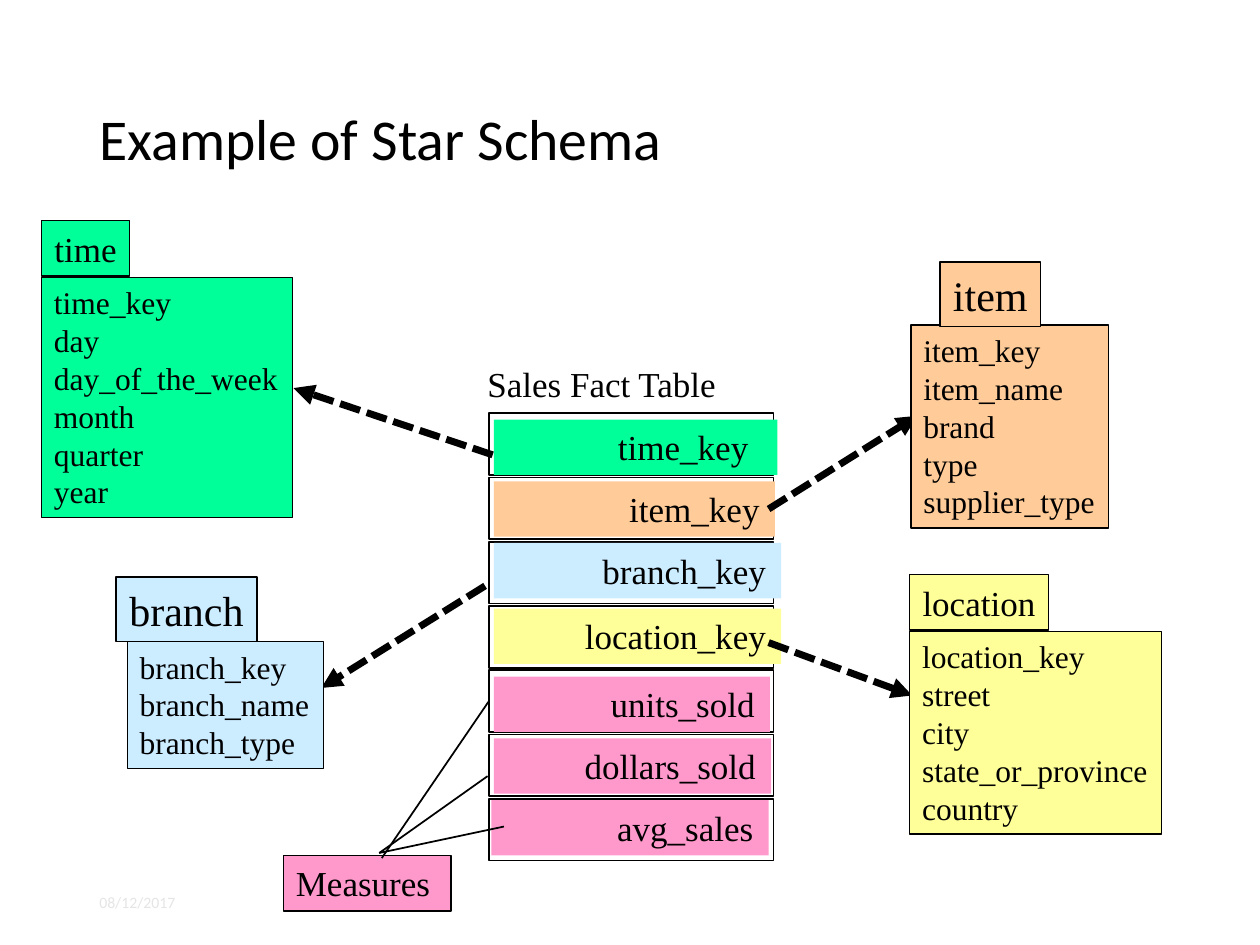
from dataclasses import dataclass

from lxml import etree
from pptx import Presentation
from pptx.dml.color import RGBColor
from pptx.enum.dml import MSO_LINE
from pptx.enum.shapes import MSO_CONNECTOR, MSO_SHAPE
from pptx.enum.text import MSO_ANCHOR, PP_ALIGN
from pptx.oxml.ns import qn
from pptx.util import Inches, Pt

RECT = MSO_SHAPE.RECTANGLE
STRAIGHT = MSO_CONNECTOR.STRAIGHT
DOTTED = MSO_LINE.SQUARE_DOT
LEFT, CENTER, RIGHT = PP_ALIGN.LEFT, PP_ALIGN.CENTER, PP_ALIGN.RIGHT
TOP, MIDDLE = MSO_ANCHOR.TOP, MSO_ANCHOR.MIDDLE
LEFT_SITE = 1


@dataclass(frozen=True)
class Theme:
    """Colours, fonts and type sizes of the slide."""
    ink: str = "000000"
    faint: str = "E5E5E5"
    time: str = "00FF99"
    item: str = "FFCC99"
    branch: str = "CCECFF"
    location: str = "FFFF99"
    measure: str = "FF99CC"
    heading_font: str = "Calibri"
    body_font: str = "Times New Roman"
    title: int = 33
    large: int = 24
    label: int = 20
    field: int = 18
    date: int = 9


THEME = Theme()

DIMENSIONS = [
    (THEME.time, (0.33, 2.2, 1.99, 1.91), (0.33, 1.75, 0.7, 0.44), "time", THEME.label,
     ["time_key", "day", "day_of_the_week", "month", "quarter", "year"]),
    (THEME.location, (7.22, 5.01, 2, 1.61), (7.22, 4.56, 1.1, 0.44), "location", THEME.label,
     ["location_key", "street", "city", "state_or_province", "country"]),
    (THEME.item, (7.23, 2.58, 1.57, 1.61), (7.46, 2.08, 0.8, 0.51), "item", THEME.large,
     ["item_key", "item_name", "brand", "type", "supplier_type"]),
    (THEME.branch, (1.01, 5.09, 1.56, 1.01), (0.92, 4.58, 1.12, 0.51), "branch", THEME.large,
     ["branch_key", "branch_name", "branch_type"]),
]

FACT_LEFT, FACT_TOP, FACT_WIDTH = 3.88, 3.28, 2.26
ROW_HEIGHT, ROW_PITCH = 0.49, 0.51
FACT_ROWS = [
    ("time_key", THEME.time, 3.92, 3.33, 2.25, 0.23),
    ("item_key", THEME.item, 3.92, 3.82, 2.23, 0.12),
    ("branch_key", THEME.branch, 3.92, 4.31, 2.28, 0.12),
    ("location_key", THEME.location, 3.92, 4.83, 2.28, 0.12),
    ("units_sold", THEME.measure, 3.92, 5.37, 2.19, 0.12),
    ("dollars_sold", THEME.measure, 3.92, 5.86, 2.2, 0.12),
    ("avg_sales", THEME.measure, 3.9, 6.35, 2.2, 0.12),
]

ARROWS = [
    (3.85, 4.65, 2.55, 5.46),
    (3.91, 3.61, 2.33, 3.08),
    (6.1, 5.1, 7.24, 5.52),
    (6.1, 4.04, 7.28, 3.3),
]


def write(sp, lines, size, font=THEME.body_font, color=THEME.ink, align=LEFT,
          anchor=TOP, wrap=False, right=0.1):
    """Fill a shape with one paragraph per line and return its text frame."""
    tf = sp.text_frame
    tf.word_wrap = wrap
    tf.vertical_anchor = anchor
    tf.margin_left, tf.margin_right = Inches(0.1), Inches(right)
    tf.margin_top = tf.margin_bottom = Inches(0.05)
    tf.text = "\n".join(lines)
    for p in tf.paragraphs:
        p.alignment = align
        for r in p.runs:
            r.font.name = font
            r.font.size = Pt(size)
            r.font.color.rgb = RGBColor.from_string(color)
    return tf


def add_text(shapes, box, text, size, **style):
    """Add a plain text box and return its text frame."""
    return write(shapes.add_textbox(*map(Inches, box)), [text], size, **style)


def add_box(shapes, box, fill=None, line=None):
    """Add a rectangle with an optional fill colour and line width."""
    sp = shapes.add_shape(RECT, *map(Inches, box))
    sp.shadow.inherit = False
    if fill:
        sp.fill.solid()
        sp.fill.fore_color.rgb = RGBColor.from_string(fill)
    else:
        sp.fill.background()
    if line:
        sp.line.color.rgb = RGBColor.from_string(THEME.ink)
        sp.line.width = Pt(line)
    else:
        sp.line.fill.background()
    return sp


def add_line(shapes, ends, width=1):
    """Add a straight black connector."""
    cn = shapes.add_connector(STRAIGHT, *map(Inches, ends))
    cn.line.color.rgb = RGBColor.from_string(THEME.ink)
    cn.line.width = Pt(width)
    etree.SubElement(cn._element.spPr, qn("a:effectLst"))
    return cn


def add_arrow(shapes, ends):
    """Add a thick dotted connector with a triangular head."""
    cn = add_line(shapes, ends, 4)
    cn.line.dash_style = DOTTED
    etree.SubElement(cn.line._get_or_add_ln(), qn("a:tailEnd"), type="triangle")


def add_dimension(shapes, color, body, header, name, size, fields):
    """Add a grouped dimension table with its name and its fields."""
    group = shapes.add_group_shape().shapes
    write(add_box(group, body, color, 0.75), fields, THEME.field)
    write(add_box(group, header, color, 0.75), [name], size, align=CENTER, anchor=MIDDLE)


def add_fact_table(shapes):
    """Add the fact table and return its row frames by field name."""
    add_text(shapes, (3.77, 2.83, 2.03, 0.44), "Sales Fact Table", THEME.label)
    frames = {}
    for i, (name, color, left, top, width, right) in enumerate(FACT_ROWS):
        frame = (FACT_LEFT, FACT_TOP + i * ROW_PITCH, FACT_WIDTH, ROW_HEIGHT)
        frames[name] = add_box(shapes, frame, line=1)
        sp = add_box(shapes, (left, top, width, 0.44), color)
        write(sp, [name], THEME.label, align=RIGHT, wrap=True, right=right)
    return frames


def add_measures(shapes, frames):
    """Add the measures label and its lines to the measure rows."""
    sp = add_box(shapes, (2.25, 6.79, 1.33, 0.44), THEME.measure, 0.75)
    write(sp, ["Measures"], THEME.label, wrap=True)
    cn = add_line(shapes, (3.03, 6.81, 3.88, 5.56))
    cn.end_connect(frames["units_sold"], LEFT_SITE)
    for end in [(3.87, 6.16), (4, 6.56)]:
        add_line(shapes, (3.01, 6.77, *end))


def main():
    """Build the star schema slide."""
    prs = Presentation()
    prs.slide_width, prs.slide_height = Inches(10), Inches(7.5)
    shapes = prs.slides.add_slide(prs.slide_layouts[6]).shapes
    tf = add_text(shapes, (0.69, 0.4, 8.62, 1.45), "Example of Star Schema", THEME.title,
                  font=THEME.heading_font, anchor=MIDDLE, wrap=True)
    tf.paragraphs[0].line_spacing = 0.9
    frames = add_fact_table(shapes)
    add_measures(shapes, frames)
    for ends in ARROWS:
        add_arrow(shapes, ends)
    for dimension in DIMENSIONS:
        add_dimension(shapes, *dimension)
    add_text(shapes, (0.69, 6.96, 1.5, 0.4), "08/12/2017", THEME.date,
             font=THEME.heading_font, color=THEME.faint, anchor=MIDDLE, wrap=True)
    prs.save("out.pptx")


if __name__ == "__main__":
    main()
